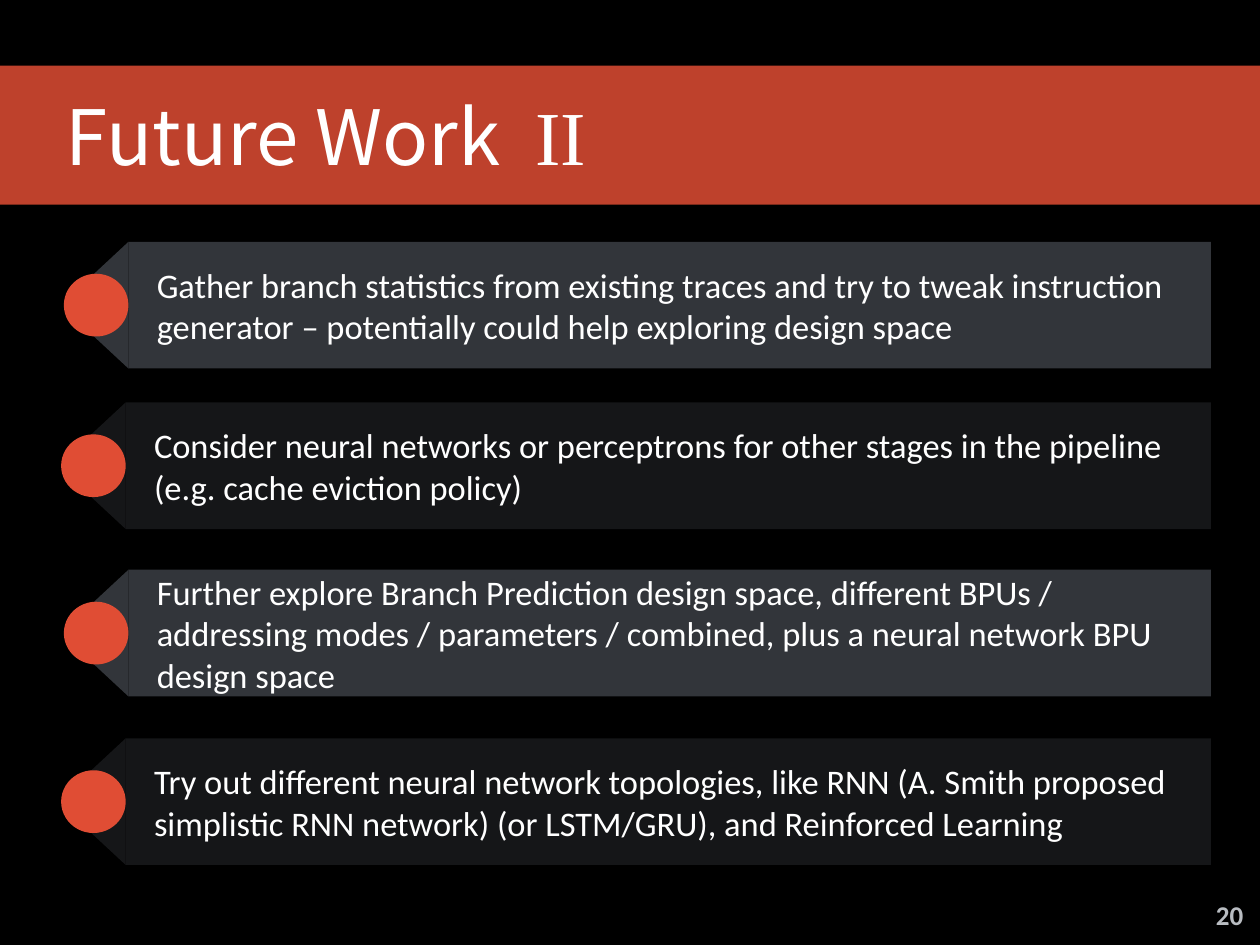
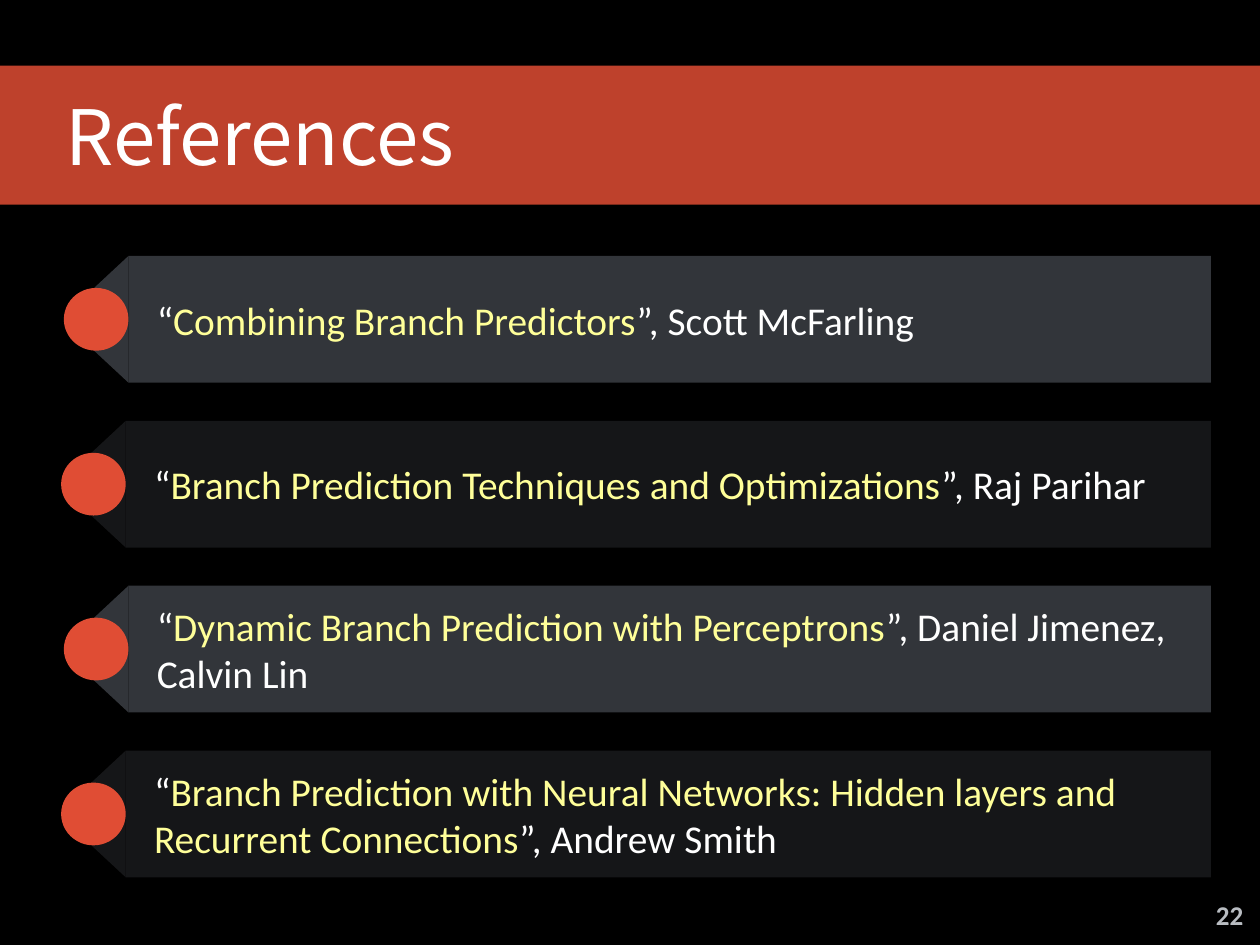
from lxml import etree
from pptx import Presentation
from pptx.dml.color import RGBColor
from pptx.enum import shapes, text
from pptx.oxml import ns
from pptx.util import Pt

BLACK = RGBColor(0x00, 0x00, 0x00)
WHITE = RGBColor(0xFF, 0xFF, 0xFF)
RED = RGBColor(0xE0, 0x4D, 0x34)
SLATE = RGBColor(0x32, 0x35, 0x3A)
CHARCOAL = RGBColor(0x15, 0x16, 0x18)
YELLOW = RGBColor(0xFF, 0xFF, 0x99)
GREY = RGBColor(0xB8, 0xBC, 0xC1)

BODY_FONT = "Calibri"
TITLE_FONT = "Noto Sans CJK SC"
NUMERAL_FONT = "Times New Roman"

SLIDE_WIDTH, SLIDE_HEIGHT = 1024, 768
TITLE_BAND = (0, 53.3, SLIDE_WIDTH, 113)
PAGE_NUMBER_BOX = (982, 725.8, 34.6, 34.6)
CARD_RIGHT, CARD_HEIGHT = 984.2, 103
CARD_STYLES = [(104.4, SLATE), (102.2, CHARCOAL)]  # left edge, fill; alternating
TIP_DEPTH, DOT_WIDTH, DOT_HEIGHT = 39.6, 52.5, 51

FUTURE_WORK = [
    "Gather branch statistics from existing traces and try to tweak instruction "
    "generator – potentially could help exploring design space",
    "Consider neural networks or perceptrons for other stages in the pipeline "
    "(e.g. cache eviction policy)",
    "Further explore Branch Prediction design space, different BPUs / addressing "
    "modes / parameters / combined, plus a neural network BPU design space",
    "Try out different neural network topologies, like RNN (A. Smith proposed "
    "simplistic RNN network) (or LSTM/GRU), and Reinforced Learning",
]
REFERENCES = [
    ("Combining Branch Predictors", "Scott McFarling"),
    ("Branch Prediction Techniques and Optimizations", "Raj Parihar"),
    ("Dynamic Branch Prediction with Perceptrons", "Daniel Jimenez, Calvin Lin"),
    ("Branch Prediction with Neural Networks: Hidden layers and Recurrent Connections",
     "Andrew Smith"),
]


def add_run(paragraph, words, size, color=WHITE, font=BODY_FONT, bold=False):
    run = paragraph.add_run()
    run.text = words
    run.font.size = Pt(size)
    run.font.name = font
    run.font.bold = bold
    run.font.color.rgb = color
    return run


def set_frame(frame, left=0, right=0, anchor=text.MSO_ANCHOR.MIDDLE):
    frame.margin_left, frame.margin_right = Pt(left), Pt(right)
    frame.margin_top = frame.margin_bottom = 0
    frame.vertical_anchor = anchor
    frame.auto_size = text.MSO_AUTO_SIZE.NONE
    frame.word_wrap = True


def add_filled_shape(slide, kind, box, color):
    shape = slide.shapes.add_shape(kind, *map(Pt, box))
    shape.shadow.inherit = False
    shape.fill.solid()
    shape.fill.fore_color.rgb = color
    shape.line.fill.background()
    return shape


def add_title_band(slide, title, numeral=None):
    band = slide.shapes.title
    band.left, band.top, band.width, band.height = map(Pt, TITLE_BAND)
    band.fill.solid()
    band.fill.fore_color.rgb = RED
    color = band.fill._xPr.find(".//" + ns.qn("a:srgbClr"))
    etree.SubElement(color, ns.qn("a:alpha"), val="85000")
    set_frame(band.text_frame, left=53.3)
    paragraph = band.text_frame.paragraphs[0]
    paragraph.alignment = text.PP_ALIGN.LEFT
    add_run(paragraph, title, 62, font=TITLE_FONT)
    if numeral:
        gap = add_run(paragraph, " ", 62, font=TITLE_FONT)
        gap.font._element.set("spc", "1400")
        add_run(paragraph, numeral, 62, font=NUMERAL_FONT)


def add_card(slide, left, top, color, segments, size):
    """Place a bar with a pointed left end, a dot on the point, and its text."""
    middle = top + CARD_HEIGHT / 2
    bar = add_filled_shape(slide, shapes.MSO_SHAPE.RECTANGLE,
                           (left, top, CARD_RIGHT - left, CARD_HEIGHT), color)
    set_frame(bar.text_frame, left=23, right=3.6)
    paragraph = bar.text_frame.paragraphs[0]
    paragraph.alignment = text.PP_ALIGN.LEFT
    for words, text_color in segments:
        add_run(paragraph, words, size, text_color)

    tip_box = (left - (TIP_DEPTH + CARD_HEIGHT) / 2, middle - TIP_DEPTH / 2,
               CARD_HEIGHT, TIP_DEPTH)
    tip = add_filled_shape(slide, shapes.MSO_SHAPE.TRAPEZOID, tip_box, color)
    tip.adjustments[0] = 0.93
    tip.rotation = 270
    add_filled_shape(slide, shapes.MSO_SHAPE.OVAL,
                     (left - DOT_WIDTH, middle - DOT_HEIGHT / 2, DOT_WIDTH, DOT_HEIGHT), RED)


def add_page_number(slide, number):
    box = slide.shapes.add_textbox(*map(Pt, PAGE_NUMBER_BOX))
    set_frame(box.text_frame)
    paragraph = box.text_frame.paragraphs[0]
    paragraph.alignment = text.PP_ALIGN.CENTER
    add_run(paragraph, str(number), 22, GREY, bold=True)


def add_card_slide(presentation, title, numeral, number, tops, cards, size):
    slide = presentation.slides.add_slide(presentation.slide_layouts.get_by_name("Title Only"))
    add_title_band(slide, title, numeral)
    for index, (top, segments) in enumerate(zip(tops, cards)):
        left, color = CARD_STYLES[index % 2]
        add_card(slide, left, top, color, segments, size)
    add_page_number(slide, number)


def main():
    presentation = Presentation()
    presentation.slide_width, presentation.slide_height = Pt(SLIDE_WIDTH), Pt(SLIDE_HEIGHT)
    background = presentation.slide_master.background.fill
    background.solid()
    background.fore_color.rgb = BLACK

    plans = [[(plan, WHITE)] for plan in FUTURE_WORK]
    add_card_slide(presentation, "Future Work", "II", 20, (196.5, 327, 463, 600), plans, 28)

    references = [[("“", WHITE), (work, YELLOW), (f"”, {authors}", WHITE)]
                  for work, authors in REFERENCES]
    add_card_slide(presentation, "References", None, 22, range(208, 611, 134), references, 32)
    presentation.save("out.pptx")


if __name__ == "__main__":
    main()
